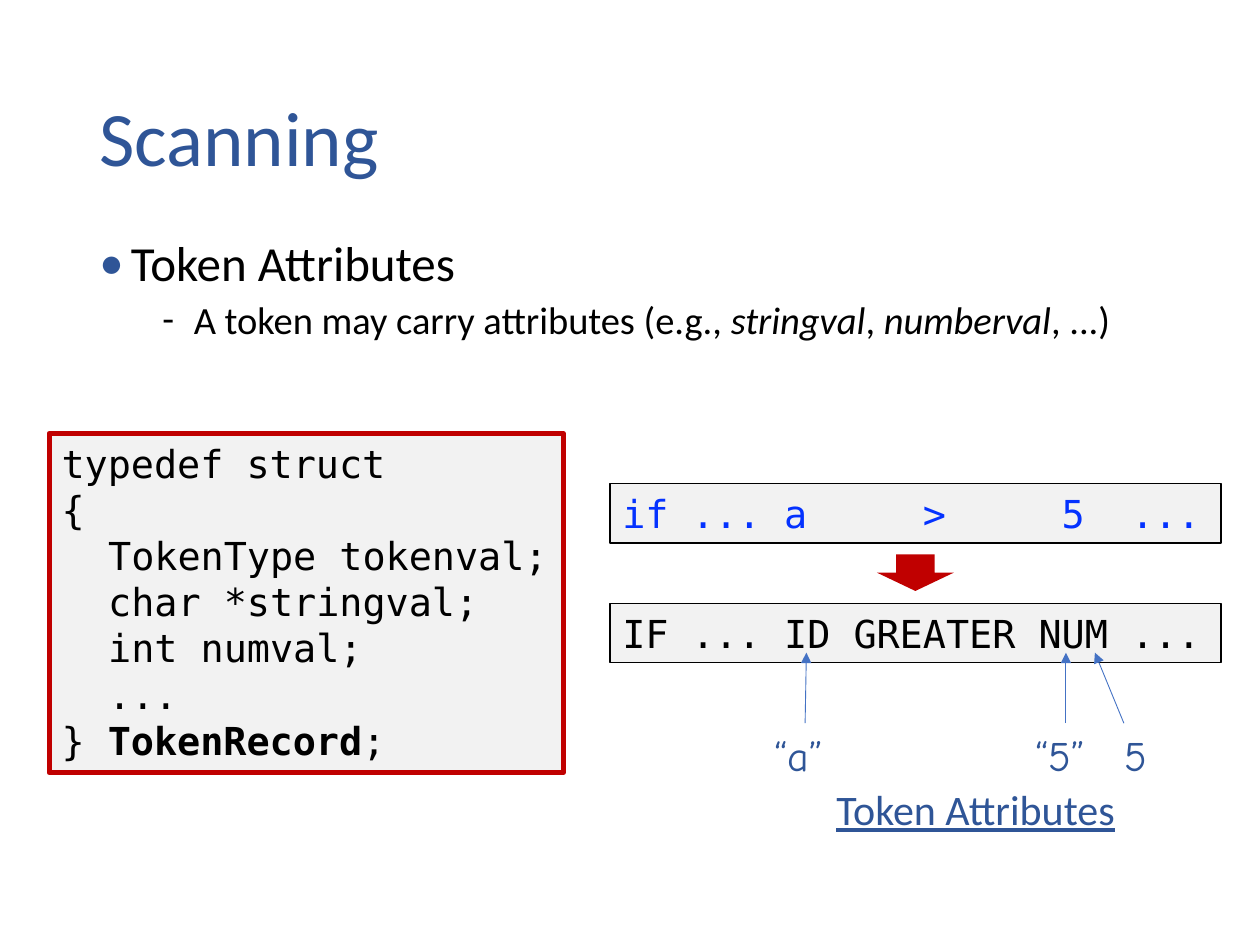
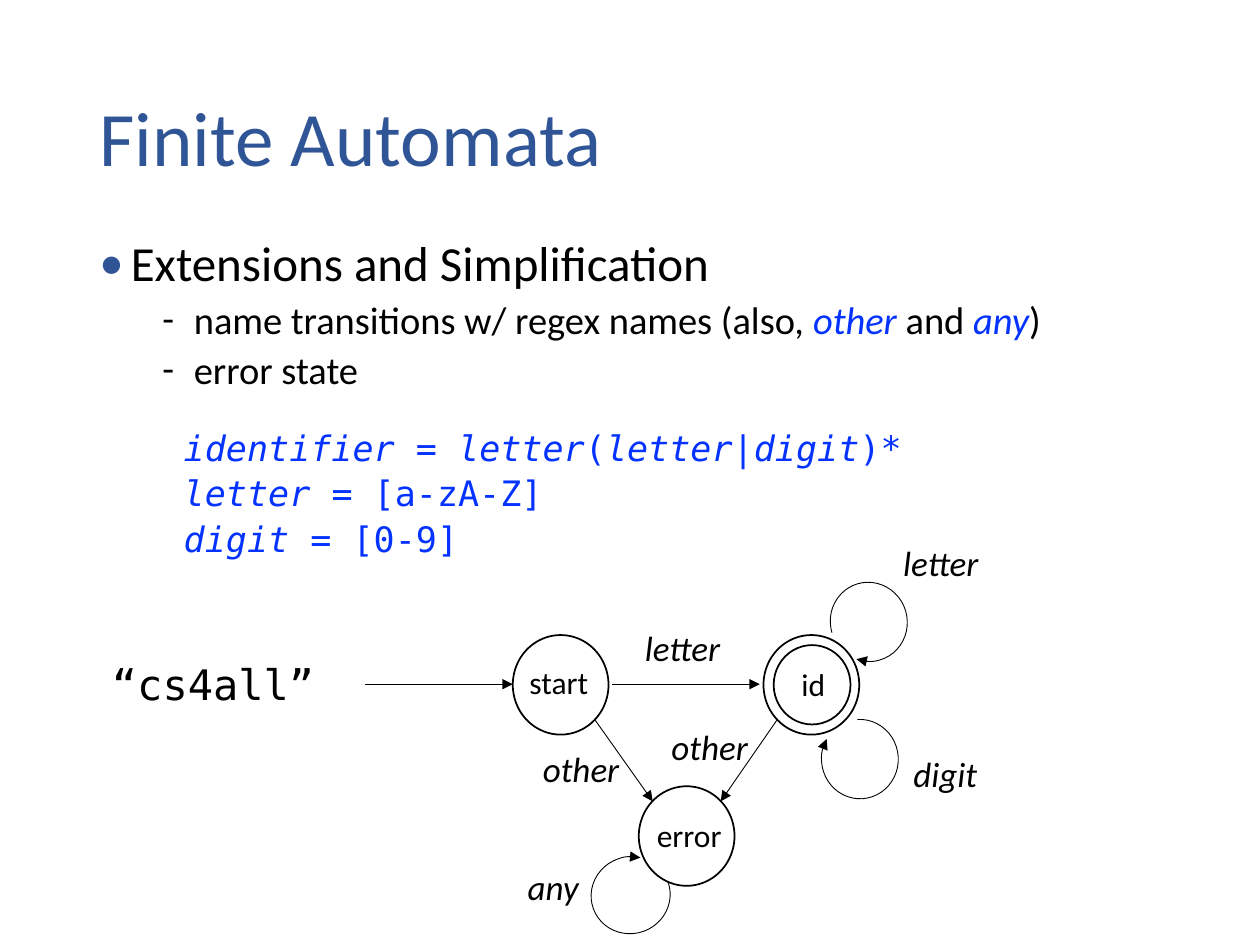
import pptx
import pptx.util
import pptx.dml.color
import pptx.enum.shapes
import pptx.enum.text
import pptx.oxml

PX = 9144
NS = 'xmlns:a="http://schemas.openxmlformats.org/drawingml/2006/main"'
NAVY, BLUE, BLACK = "2F5597", "0432FF", "000000"
RED, GRAY, ARROW_BLUE = "C00000", "F2F2F2", "4472C4"
SANS, MONO, HAND = "Calibri", "DejaVu Sans Mono", "Comic Neue"
ITALIC = {"italic": True}
KEYWORD = {"italic": True, "color": BLUE}

MSO = pptx.enum.shapes.MSO_SHAPE
ANCHOR = pptx.enum.text.MSO_ANCHOR
ALIGN = pptx.enum.text.PP_ALIGN


def rgb(color):
    return pptx.dml.color.RGBColor.from_string(color)


def within(box, x, y, width, height):
    return box[0] + x, box[1] + y, width, height


def emu(box):
    return [length * PX for length in box]


def add_xml(parent, markup):
    parent.append(pptx.oxml.parse_xml(markup))


def write(frame, runs, font=SANS, size=20, color=BLACK, bold=False, italic=False,
          underline=False, align=ALIGN.LEFT, spacing=None, before=0, level=0,
          indent=0, bullet=None, bullet_color=BLACK):
    paragraph = frame.paragraphs[0]
    if paragraph.runs:
        paragraph = frame.add_paragraph()
    paragraph.alignment, paragraph.level = align, level
    paragraph.space_before = pptx.util.Pt(before)
    if spacing:
        paragraph.line_spacing = spacing
    properties = paragraph._p.get_or_add_pPr()
    properties.set("marL", str(indent * PX))
    properties.set("indent", str(-25 * PX if bullet else 0))
    if bullet:
        add_xml(properties, f'<a:buClr {NS}><a:srgbClr val="{bullet_color}"/></a:buClr>')
        add_xml(properties, f'<a:buFont {NS} typeface="{font}"/>')
        add_xml(properties, f'<a:buChar {NS} char="{bullet}"/>')
    base = {"bold": bold, "italic": italic, "underline": underline, "color": color}
    for part in [runs] if isinstance(runs, str) else runs:
        words, changes = (part, {}) if isinstance(part, str) else part
        look = base | changes
        run = paragraph.add_run()
        run.text = words
        run.font.name, run.font.size = font, pptx.util.Pt(size)
        run.font.bold, run.font.italic = look["bold"], look["italic"]
        run.font.underline = look["underline"]
        run.font.color.rgb = rgb(look["color"])


def text_area(slide, box, wrap=True, anchor=ANCHOR.TOP, grow=True):
    frame = slide.shapes.add_textbox(*emu(box)).text_frame
    frame.word_wrap, frame.vertical_anchor = wrap, anchor
    sizing = pptx.enum.text.MSO_AUTO_SIZE
    frame.auto_size = sizing.SHAPE_TO_FIT_TEXT if grow else sizing.NONE
    return frame


def label(slide, box, words, wrap=True, **style):
    write(text_area(slide, box, wrap), words, **style)


def outline(slide, kind, box, fill=None, line=None, weight=1):
    shape = slide.shapes.add_shape(kind, *emu(box))
    shape.shadow.inherit = False
    if fill:
        shape.fill.solid()
        shape.fill.fore_color.rgb = rgb(fill)
    else:
        shape.fill.background()
    if line:
        shape.line.color.rgb = rgb(line)
        shape.line.width = pptx.util.Pt(weight)
    else:
        shape.line.fill.background()
    return shape


def code_box(slide, box, line, weight):
    frame = outline(slide, MSO.RECTANGLE, box, GRAY, line, weight).text_frame
    frame.word_wrap, frame.vertical_anchor = True, ANCHOR.TOP
    return frame


def add_arrowhead(drawn):
    add_xml(drawn.line._get_or_add_ln(), f'<a:tailEnd {NS} type="triangle"/>')


def arrow(slide, box, x1, y1, x2, y2, color):
    left, top = box[:2]
    ends = emu((left + x1, top + y1, left + x2, top + y2))
    link = slide.shapes.add_connector(pptx.enum.shapes.MSO_CONNECTOR.STRAIGHT, *ends)
    link.line.color.rgb = rgb(color)
    link.line.width = pptx.util.Pt(0.5)
    add_arrowhead(link)
    add_xml(link._element.spPr, f"<a:effectLst {NS}/>")


def topic_slide(deck, title, topic, points, body):
    slide = deck.slides.add_slide(deck.slide_layouts[6])
    heading = text_area(slide, (69, 40, 862, 145), anchor=ANCHOR.MIDDLE, grow=False)
    write(heading, title, size=44, color=NAVY, spacing=0.9)
    outline_text = text_area(slide, body, grow=False)
    write(outline_text, topic, size=28, spacing=0.9, before=10, indent=25,
          bullet="•", bullet_color=NAVY)
    for point in points:
        write(outline_text, point, size=22, spacing=0.9, before=5, level=1,
              indent=75, bullet="-")
    return slide


def token_record(slide, box):
    listing = code_box(slide, box, RED, 3)
    members = ["TokenType tokenval;", "char *stringval;", "int numval;", "..."]
    for line in ["typedef struct", "{"]:
        write(listing, line, font=MONO, size=22)
    for member in members:
        write(listing, member, font=MONO, size=22, indent=37)
    write(listing, ["} ", ("TokenRecord", {"bold": True}), ";"], font=MONO, size=22)


def token_flow(slide, box):
    rows = [("IF ... ID GREATER NUM ...", 95, BLACK),
            ("if ... a     >     5  ...", 0, BLUE)]
    for stream, top, color in rows:
        frame = code_box(slide, within(box, 0, top, 485, 47), BLACK, 0.75)
        write(frame, stream, font=MONO, size=22, color=color)
    outline(slide, MSO.DOWN_ARROW, within(box, 212, 56, 61, 29), RED)
    attributes = [("“a”", 121, 69, 155, 156), ("“5”", 328, 70, 362, 362),
                  ("5", 399, 39, 408, 385)]
    for value, left, width, tail, head in attributes:
        label(slide, within(box, left, 190, width, 50), value, wrap=False,
              font=HAND, size=24, color=NAVY)
        arrow(slide, box, tail, 190, head, 134, ARROW_BLUE)
    label(slide, within(box, 170, 233, 244, 50), "Token Attributes", wrap=False,
          size=24, color=NAVY, underline=True)


def regex_definitions(slide, box):
    style = {"font": MONO, "color": BLUE, "spacing": 1.1, "level": 2}
    label(slide, within(box, 0, 0, 631, 47),
          [("identifier ", ITALIC), "= ", ("letter", ITALIC), "(", ("letter", ITALIC),
           "|", ("digit", ITALIC), ")*"], **style)
    classes = text_area(slide, within(box, 0, 36, 308, 84))
    for name, members in [("letter ", "= [a-zA-Z]"), ("digit ", "= [0-9]")]:
        write(classes, [(name, ITALIC), members], **style)


def automaton(slide, box):
    states = [("start", 328, 79, 331, 96, 67), ("id", 527, 79, 547, 98, 39),
              ("error", 428, 199, 432, 218, 72)]
    edges = [(211, 118, 328, 118), (407, 118, 524, 118),
             (393, 146, 439, 211), (538, 146, 493, 211)]
    loops = [(579, 38, 63, 61, 253.6), (573, 146, 61, 63, 356.5),
             (391, 254, 61, 63, 69.9)]
    transitions = [("letter", 423, 67, 104), ("letter", 628, 0, 87),
                   ("digit", 636, 167, 80), ("other", 342, 163, 87),
                   ("other", 444, 146, 87), ("any", 330, 257, 87)]
    for name, x, y, name_x, name_y, name_width in states:
        outline(slide, MSO.OVAL, within(box, x, y, 76, 79), line=BLACK)
        label(slide, within(box, name_x, name_y, name_width, 40), name, wrap=False,
              size=18, align=ALIGN.CENTER)
    outline(slide, MSO.OVAL, within(box, 535, 87, 61, 63), line=BLACK)
    for edge in edges:
        arrow(slide, box, *edge, BLACK)
    for *place, turn in loops:
        loop = outline(slide, MSO.ARC, within(box, *place), line=BLACK, weight=0.5)
        loop.rotation = turn
        loop.adjustments[0], loop.adjustments[1] = 162, 128.82
        add_arrowhead(loop)
    for name, x, y, width in transitions:
        label(slide, within(box, x, y, width, 44), name, italic=True)
    label(slide, within(box, 0, 93, 181, 50), "“cs4all”", wrap=False,
          font=MONO, size=24)


def main():
    deck = pptx.Presentation()
    deck.slide_width, deck.slide_height = emu((1000, 750))

    scanning = topic_slide(
        deck, "Scanning", "Token Attributes",
        [["A token may carry attributes (e.g., ", ("stringval", ITALIC), ", ",
          ("numberval", ITALIC), ", ...)"]],
        (69, 185, 940, 159))
    token_record(scanning, (39, 344, 408, 269))
    token_flow(scanning, (484, 384, 485, 283))

    automata = topic_slide(
        deck, "Finite Automata", "Extensions and Simplification",
        [["name transitions w/ regex names (also, ", ("other ", KEYWORD), "and ",
          ("any", KEYWORD), ")"], "error state"],
        (69, 185, 912, 173))
    regex_definitions(automata, (136, 330, 631, 120))
    automaton(automata, (79, 425, 715, 317))

    deck.save("out.pptx")


if __name__ == "__main__":
    main()
